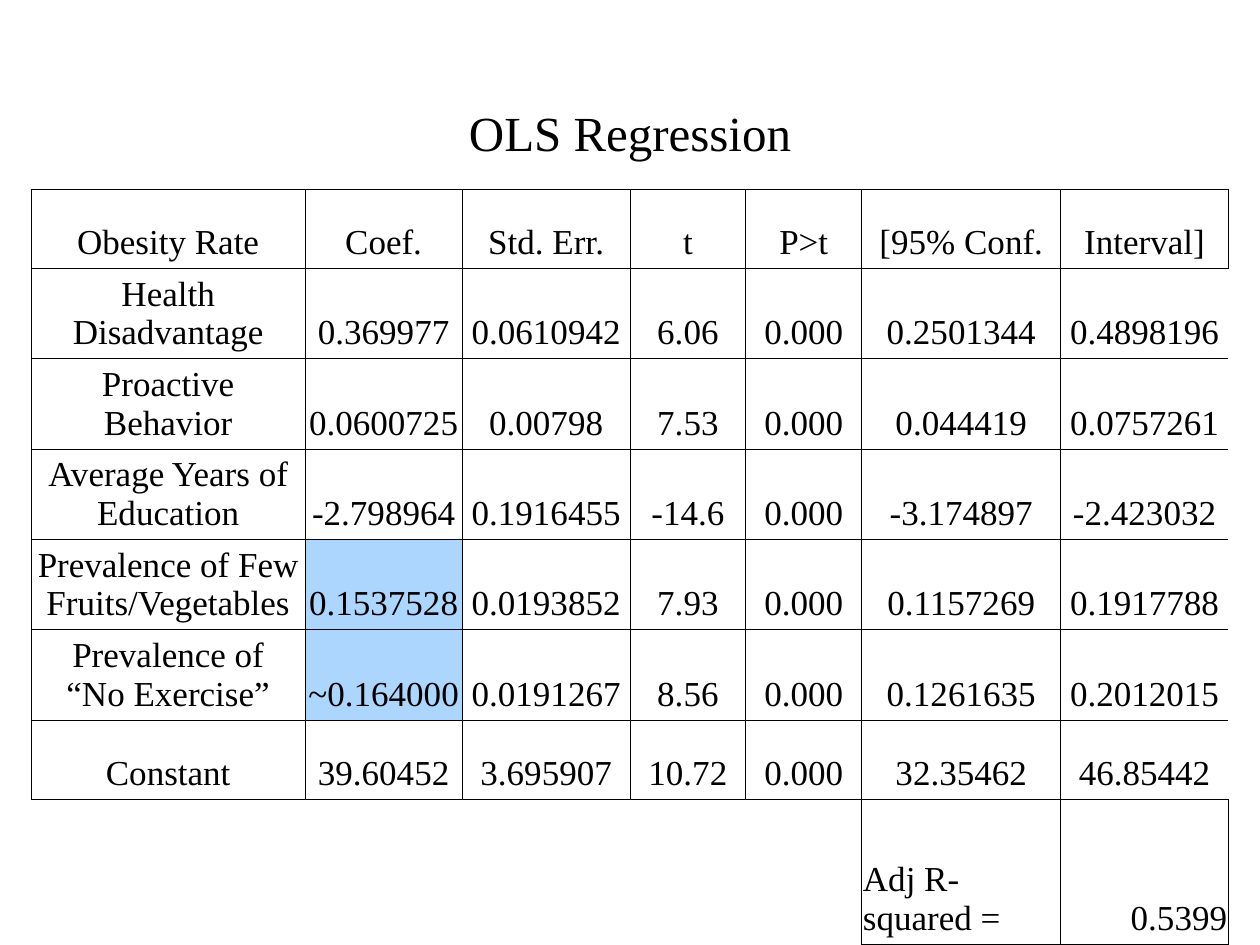
from lxml import etree
from pptx import Presentation
from pptx.dml.color import RGBColor
from pptx.enum.text import MSO_ANCHOR, PP_ALIGN
from pptx.oxml.ns import qn
from pptx.util import Inches, Pt

CENTER, LEFT, RIGHT = PP_ALIGN.CENTER, PP_ALIGN.LEFT, PP_ALIGN.RIGHT
MIDDLE, BOTTOM = MSO_ANCHOR.MIDDLE, MSO_ANCHOR.BOTTOM

SLIDE_WIDTH, SLIDE_HEIGHT = Inches(10), Inches(7.5)
BLACK, HIGHLIGHT = "000000", "ADD6FF"
BORDER_WIDTH = Pt(0.45)
COLUMN_WIDTHS = [2.17, 1.25, 1.33, 0.92, 0.92, 1.58, 1.33]
ROW_HEIGHTS = [0.63] + [0.68] * 5 + [0.63, 1.15]
CELL_MARGINS = {
    "margin_left": Inches(0.01),
    "margin_right": Inches(0.01),
    "margin_top": Inches(0.05),
    "margin_bottom": Inches(0.05),
    "vertical_anchor": BOTTOM,
}
REGRESSION = [
    ["Obesity Rate", "Coef.", "Std. Err.", "t", "P>t", "[95% Conf.", "Interval]"],
    ["Health Disadvantage", "0.369977", "0.0610942", "6.06", "0.000", "0.2501344", "0.4898196"],
    ["Proactive\vBehavior", "0.0600725", "0.00798", "7.53", "0.000", "0.044419", "0.0757261"],
    ["Average Years of Education", "-2.798964", "0.1916455", "-14.6", "0.000", "-3.174897", "-2.423032"],
    ["Prevalence of Few Fruits/Vegetables", "0.1537528", "0.0193852", "7.93", "0.000", "0.1157269", "0.1917788"],
    ["Prevalence of\v“No Exercise”", "~0.164000", "0.0191267", "8.56", "0.000", "0.1261635", "0.2012015"],
    ["Constant", "39.60452", "3.695907", "10.72", "0.000", "32.35462", "46.85442"],
    ["", "", "", "", "", "Adj R-squared =", "0.5399"],
]
FOOTER_ROW = len(REGRESSION) - 1
LAST_COLUMN = len(COLUMN_WIDTHS) - 1
FOOTER_ALIGNMENTS = {LAST_COLUMN - 1: LEFT, LAST_COLUMN: RIGHT}
HIGHLIGHTED_CELLS = {(4, 1), (5, 1)}


def color(hex_string):
    return RGBColor.from_string(hex_string)


def apply_format(target, values):
    for name, value in values.items():
        setattr(target, name, value)


def format_paragraph(paragraph, size, alignment):
    paragraph.alignment = alignment
    apply_format(paragraph.font, {"name": "Times New Roman", "size": Pt(size), "bold": False})
    paragraph.font.color.rgb = color(BLACK)


def add_title(slide, text):
    title = slide.shapes.title
    apply_format(title, {
        "left": int(SLIDE_WIDTH * 0.075),
        "top": int(SLIDE_HEIGHT * 0.09),
        "width": int(SLIDE_WIDTH * 0.85),
        "height": int(SLIDE_HEIGHT * 0.1),
    })
    title.text_frame.text = text
    title.text_frame.vertical_anchor = MIDDLE
    format_paragraph(title.text_frame.paragraphs[0], 28, CENTER)


def visible_sides(row, column):
    if row == FOOTER_ROW and column < LAST_COLUMN - 1:
        return "TR" if column == LAST_COLUMN - 2 else "T"
    if column == LAST_COLUMN and 0 < row < FOOTER_ROW:
        return "LTB"
    return "LRTB"


def set_borders(cell, sides):
    properties = cell._tc.get_or_add_tcPr()
    for side in "LRTB":
        line = etree.SubElement(properties, qn(f"a:ln{side}"), w=str(BORDER_WIDTH))
        if side in sides:
            fill = etree.SubElement(line, qn("a:solidFill"))
            etree.SubElement(fill, qn("a:srgbClr"), val=BLACK)
        else:
            etree.SubElement(line, qn("a:noFill"))


def format_cell(cell, text, row, column):
    apply_format(cell, CELL_MARGINS)
    set_borders(cell, visible_sides(row, column))
    if (row, column) in HIGHLIGHTED_CELLS:
        cell.fill.solid()
        cell.fill.fore_color.rgb = color(HIGHLIGHT)
    else:
        cell.fill.background()
    if text:
        cell.text = text
        alignment = FOOTER_ALIGNMENTS[column] if row == FOOTER_ROW else CENTER
        format_paragraph(cell.text_frame.paragraphs[0], 20, alignment)


def add_regression_table(slide):
    table = slide.shapes.add_table(
        len(ROW_HEIGHTS), len(COLUMN_WIDTHS),
        int(SLIDE_WIDTH * 0.025), int(SLIDE_HEIGHT * 0.2),
        Inches(sum(COLUMN_WIDTHS)), Inches(sum(ROW_HEIGHTS)),
    ).table
    apply_format(table, {"first_row": False, "horz_banding": False})
    for column, width in zip(table.columns, COLUMN_WIDTHS):
        column.width = Inches(width)
    for row, height in zip(table.rows, ROW_HEIGHTS):
        row.height = Inches(height)
    for row, texts in enumerate(REGRESSION):
        for column, text in enumerate(texts):
            format_cell(table.cell(row, column), text, row, column)


def main():
    presentation = Presentation()
    apply_format(presentation, {"slide_width": SLIDE_WIDTH, "slide_height": SLIDE_HEIGHT})
    slide = presentation.slides.add_slide(presentation.slide_layouts.get_by_name("Title Only"))
    add_title(slide, "OLS Regression")
    add_regression_table(slide)
    presentation.save("out.pptx")


if __name__ == "__main__":
    main()
